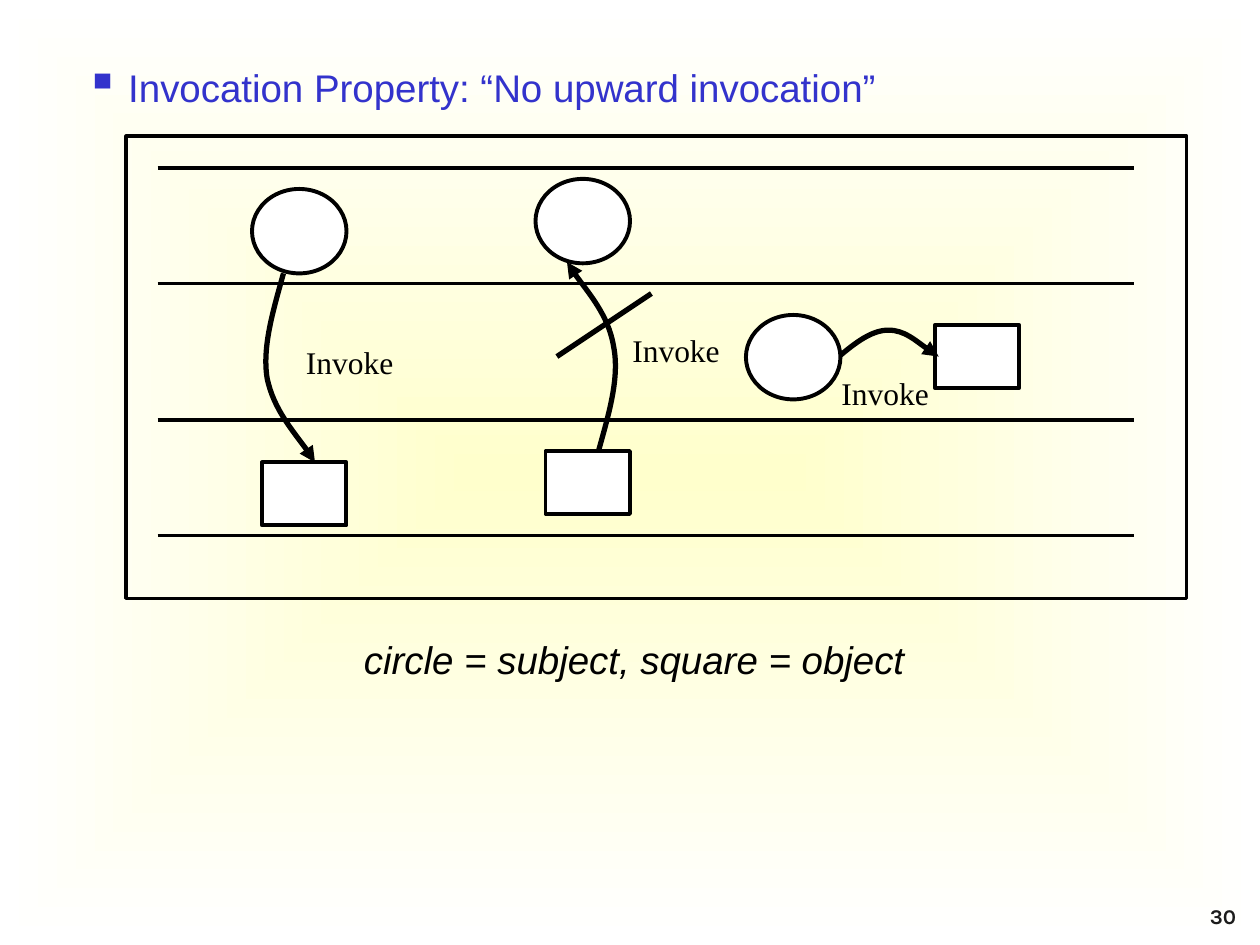
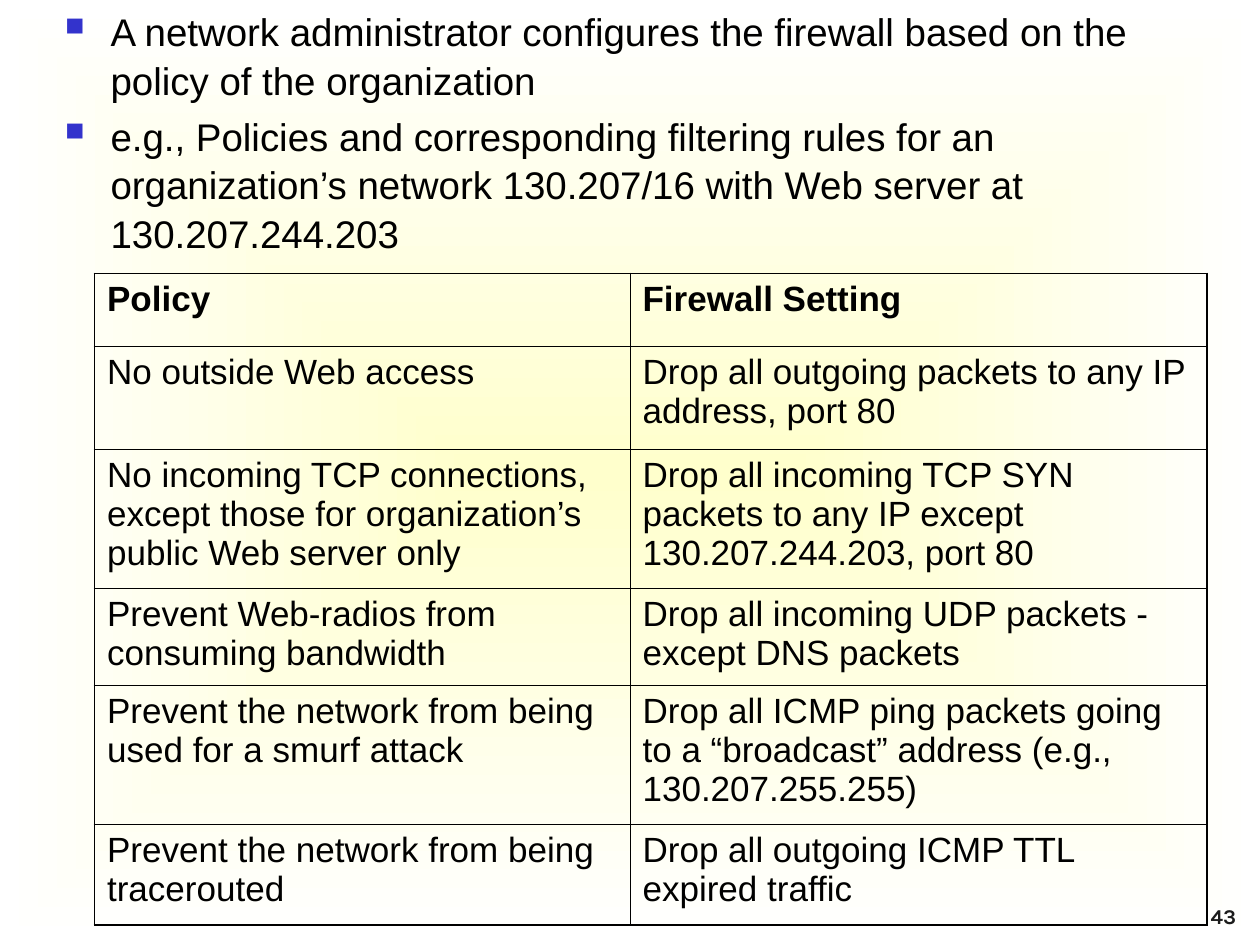
from dataclasses import dataclass

from lxml import etree
from pptx import Presentation
from pptx.dml.color import RGBColor
from pptx.enum.shapes import MSO_CONNECTOR, MSO_SHAPE
from pptx.enum.text import MSO_ANCHOR, PP_ALIGN
from pptx.oxml.ns import qn
from pptx.util import Inches, Pt

STRAIGHT = MSO_CONNECTOR.STRAIGHT
ELLIPSE, RECTANGLE = MSO_SHAPE.OVAL, MSO_SHAPE.RECTANGLE
ANCHOR_TOP, ANCHOR_BOTTOM = MSO_ANCHOR.TOP, MSO_ANCHOR.BOTTOM
LEFT, RIGHT = PP_ALIGN.LEFT, PP_ALIGN.RIGHT


@dataclass(frozen=True)
class Theme:
    black: str = "000000"
    white: str = "FFFFFF"
    glow: str = "FFFFCC"
    accent: str = "3333CC"
    number: str = "1C1C1C"
    body_font: str = "Arial"
    label_font: str = "Times New Roman"
    number_font: str = "Karla"
    body_size: float = 22
    table_size: float = 20
    label_size: float = 18
    number_size: float = 12
    frame_line: float = 1.75
    shape_line: float = 2.25
    arrow_line: float = 3
    outer_border: float = 1.08
    inner_border: float = 0.45


THEME = Theme()

# Invocation diagram, lengths in inches
INVOCATION_TITLE = "Invocation Property: “No upward invocation”"
LEGEND = "circle = subject, square = object"
FRAME = (1, 1.08, 8.42, 3.67)
LEVELS = (1.33, 2.25, 3.33, 4.25)
LEVEL_SPAN = (1.25, 9)
SUBJECT_SIZE = (0.75, 0.67)
OBJECT_SIZE = (0.67, 0.5)
LABEL_SIZE = (1.58, 0.4)
INVOCATIONS = [
    {"subject": (2, 1.5), "object": (2.08, 3.67), "label": (2.33, 2.67),
     "curve": [(2.25, 2.17), (2.17, 2.46), (2.08, 2.75), (2.12, 3),
               (2.17, 3.25), (2.44, 3.56), (2.5, 3.67)]},
    {"subject": (4.25, 1.42), "object": (4.33, 3.58), "label": (4.92, 2.58),
     "curve": [(4.75, 3.58), (4.83, 3.29), (4.92, 3), (4.87, 2.75),
               (4.83, 2.5), (4.56, 2.19), (4.5, 2.08)]},
    {"subject": (5.92, 2.5), "object": (7.42, 2.58), "label": (6.58, 2.92),
     "curve": [(6.67, 2.82), (6.79, 2.72), (6.92, 2.62), (7.05, 2.62),
               (7.18, 2.62), (7.38, 2.79), (7.45, 2.83)]},
]
FORBIDDEN_MARK = ((4.42, 2.83), (5.17, 2.33))

# Firewall policies
FIREWALL_POINTS = [
    ("A network administrator configures the firewall based on the policy "
     "of the organization", (0, 0, 9.54, 0.87)),
    ("e.g., Policies and corresponding filtering rules for an organization’s "
     "network 130.207/16 with Web server at 130.207.244.203", (0, 0.83, 9.54, 1.26)),
]
POLICIES = [
    ("Policy", "Firewall Setting"),
    ("No outside Web access", "Drop all outgoing packets to any IP address, port 80"),
    ("No incoming TCP connections, except those for organization’s public Web server only",
     "Drop all incoming TCP SYN packets to any IP except 130.207.244.203, port 80"),
    ("Prevent Web-radios from consuming bandwidth",
     "Drop all incoming UDP packets - except DNS packets"),
    ("Prevent the network from being used for a smurf attack",
     "Drop all ICMP ping packets going to a “broadcast” address (e.g., 130.207.255.255)"),
    ("Prevent the network from being tracerouted",
     "Drop all outgoing ICMP TTL expired traffic"),
]
TABLE_ORIGIN = (0.75, 2.17)
COLUMN_WIDTHS = (4.25, 4.58)
ROW_HEIGHTS = (0.58, 0.82, 1.1, 0.77, 1.1, 0.8)


def inches(values):
    return [Inches(value) for value in values]


def color(value):
    return RGBColor.from_string(value)


def add_element(parent, tag, **attributes):
    return etree.SubElement(parent, qn(tag), attributes)


def set_font(paragraph, size, name=THEME.body_font, ink=THEME.black, bold=False, italic=False):
    font = paragraph.font
    font.name, font.size = name, Pt(size)
    font.bold, font.italic = bold, italic
    font.color.rgb = color(ink)


def add_text(slide, text, box, anchor=ANCHOR_TOP):
    """Add a wrapping text box and return its paragraph."""
    frame = slide.shapes.add_textbox(*inches(box)).text_frame
    frame.word_wrap = True
    frame.vertical_anchor = anchor
    paragraph = frame.paragraphs[0]
    paragraph.text = text
    return paragraph


def set_indent(paragraph, margin, indent=0):
    properties = paragraph._p.get_or_add_pPr()
    properties.set("marL", str(Inches(margin)))
    properties.set("indent", str(Inches(indent)))
    return properties


def add_bullet_text(slide, text, box, margin, indent, spacing, ink=THEME.black):
    paragraph = add_text(slide, text, box)
    properties = set_indent(paragraph, margin, indent)
    bullet_color = add_element(properties, "a:buClr")
    add_element(bullet_color, "a:srgbClr", val=THEME.accent)
    add_element(properties, "a:buSzPct", val="120000")
    add_element(properties, "a:buChar", char="▪")
    paragraph.alignment = LEFT
    paragraph.line_spacing = spacing
    set_font(paragraph, THEME.body_size, ink=ink)


def add_slide(presentation, number):
    """Add a blank slide with the shared glow background and slide number."""
    slide = presentation.slides.add_slide(presentation.slide_layouts[6])
    fill = slide.background.fill
    fill.gradient()
    for stop, ink in zip(fill.gradient_stops, (THEME.glow, THEME.white)):
        stop.color.rgb = color(ink)
    gradient = next(slide.element.iter(qn("a:gradFill")))
    gradient.remove(gradient.find(qn("a:lin")))
    center = add_element(gradient, "a:path", path="rect")
    add_element(center, "a:fillToRect", l="50000", t="50000", r="50000", b="50000")

    paragraph = add_text(slide, number, (9.33, 7.25, 0.58, 0.17), ANCHOR_BOTTOM)
    paragraph.alignment = RIGHT
    set_font(paragraph, THEME.number_size, THEME.number_font, THEME.number, bold=True)
    return slide


def set_line(shape, width):
    shape.line.color.rgb = color(THEME.black)
    shape.line.width = Pt(width)


def style_shape(shape, width, filled):
    shape.shadow.inherit = False
    if filled:
        shape.fill.solid()
        shape.fill.fore_color.rgb = color(THEME.white)
    else:
        shape.fill.background()
    set_line(shape, width)


def add_box(slide, kind, position, size, width=THEME.shape_line, filled=True):
    shape = slide.shapes.add_shape(kind, *inches((*position, *size)))
    style_shape(shape, width, filled)


def add_line(slide, start, end, width):
    connector = slide.shapes.add_connector(STRAIGHT, *inches((*start, *end)))
    set_line(connector, width)
    add_element(connector.element.spPr, "a:effectLst")


def add_curved_arrow(slide, points):
    """Draw cubic curves: a start, then two control points and an end for each."""
    start, *rest = [inches(point) for point in points]
    builder = slide.shapes.build_freeform(*start)
    builder.add_line_segments(rest, close=False)
    shape = builder.convert_to_shape()
    style_shape(shape, THEME.arrow_line, filled=False)
    outline = next(shape.element.iter(qn("a:path")))
    segments = outline.findall(qn("a:lnTo"))
    for first in range(0, len(segments), 3):
        curve = add_element(outline, "a:cubicBezTo")
        for segment in segments[first:first + 3]:
            curve.append(segment[0])
            outline.remove(segment)
    add_element(shape.element.spPr.find(qn("a:ln")), "a:tailEnd", type="triangle")


def build_invocation_slide(presentation):
    slide = add_slide(presentation, "30")
    add_bullet_text(slide, INVOCATION_TITLE, (0.21, 0.42, 9.54, 0.51),
                    0.71, -0.34, 1.1, THEME.accent)
    legend = add_text(slide, LEGEND, (2.5, 5, 4.83, 0.58))
    set_indent(legend, 0.29)
    set_font(legend, THEME.body_size, italic=True)

    for invocation in INVOCATIONS:
        add_box(slide, ELLIPSE, invocation["subject"], SUBJECT_SIZE)
        add_box(slide, RECTANGLE, invocation["object"], OBJECT_SIZE)
        label = add_text(slide, "Invoke", (*invocation["label"], *LABEL_SIZE))
        set_font(label, THEME.label_size, THEME.label_font)
        add_curved_arrow(slide, invocation["curve"])
    add_line(slide, *FORBIDDEN_MARK, THEME.arrow_line)

    left, right = LEVEL_SPAN
    for level in LEVELS:
        add_line(slide, (left, level), (right, level), THEME.shape_line)
    add_box(slide, RECTANGLE, FRAME[:2], FRAME[2:], THEME.frame_line, filled=False)


def set_borders(cell, outer_sides):
    """Border all four sides, heavier where the side lies on the table's edge."""
    properties = cell._tc.get_or_add_tcPr()
    for side, is_outer in outer_sides.items():
        width = THEME.outer_border if is_outer else THEME.inner_border
        border = add_element(properties, f"a:ln{side}", w=str(Pt(width)))
        add_element(add_element(border, "a:solidFill"), "a:srgbClr", val=THEME.black)


def build_firewall_slide(presentation):
    slide = add_slide(presentation, "43")
    for text, box in FIREWALL_POINTS:
        add_bullet_text(slide, text, box, 0.78, -0.42, 1.05)

    rows, columns = len(POLICIES), len(COLUMN_WIDTHS)
    size = (sum(COLUMN_WIDTHS), sum(ROW_HEIGHTS))
    table = slide.shapes.add_table(rows, columns, *inches((*TABLE_ORIGIN, *size))).table
    table.horz_banding = False
    for column, width in zip(table.columns, COLUMN_WIDTHS):
        column.width = Inches(width)
    for row, height in zip(table.rows, ROW_HEIGHTS):
        row.height = Inches(height)
    for row, texts in enumerate(POLICIES):
        for column, text in enumerate(texts):
            cell = table.cell(row, column)
            cell.text = text
            set_font(cell.text_frame.paragraphs[0], THEME.table_size, bold=row == 0)
            set_borders(cell, {"L": column == 0, "R": column == columns - 1,
                               "T": row == 0, "B": row == rows - 1})
            cell.fill.background()


def main():
    presentation = Presentation()
    presentation.slide_width, presentation.slide_height = inches((10, 7.5))
    build_invocation_slide(presentation)
    build_firewall_slide(presentation)
    presentation.save("out.pptx")


if __name__ == "__main__":
    main()
